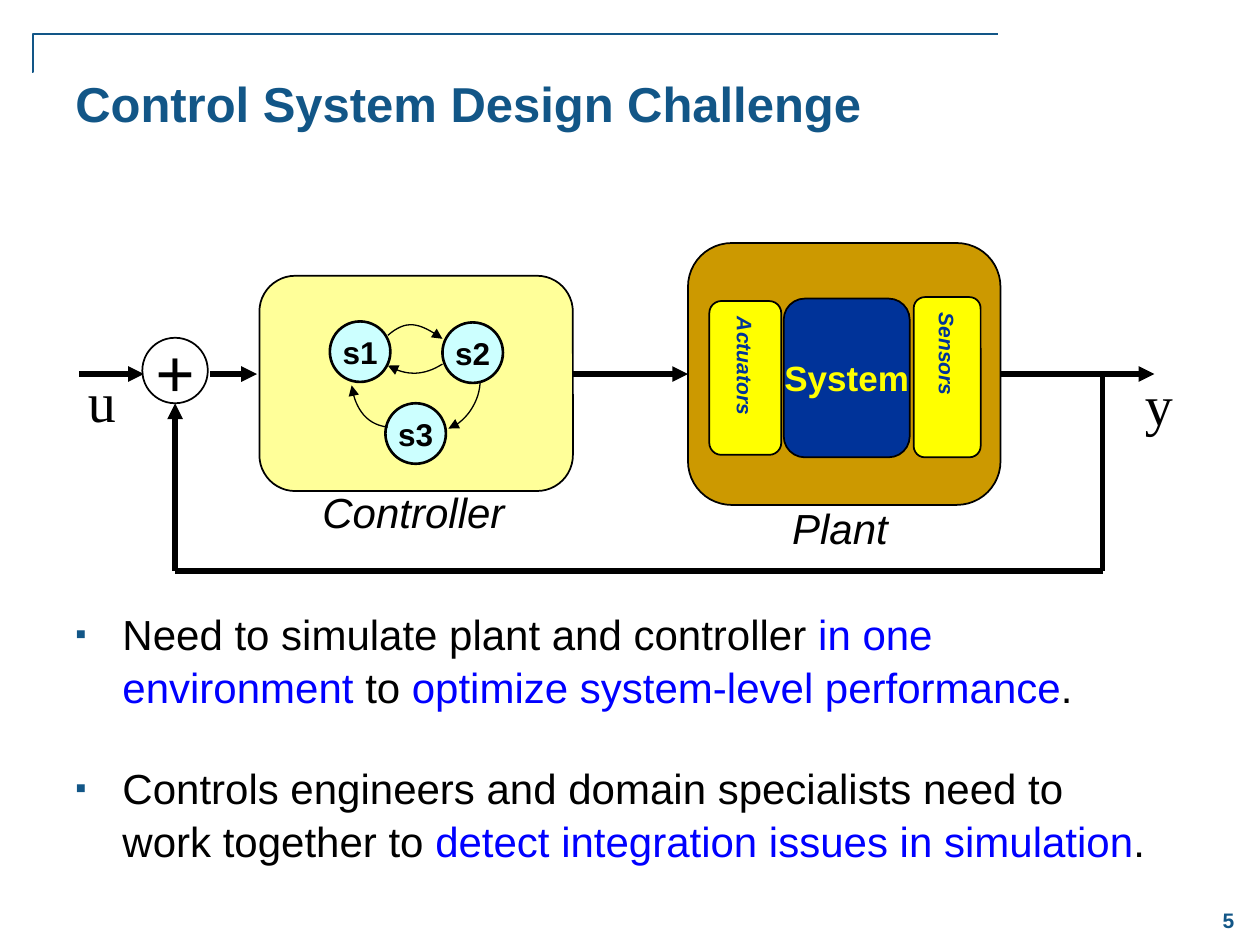
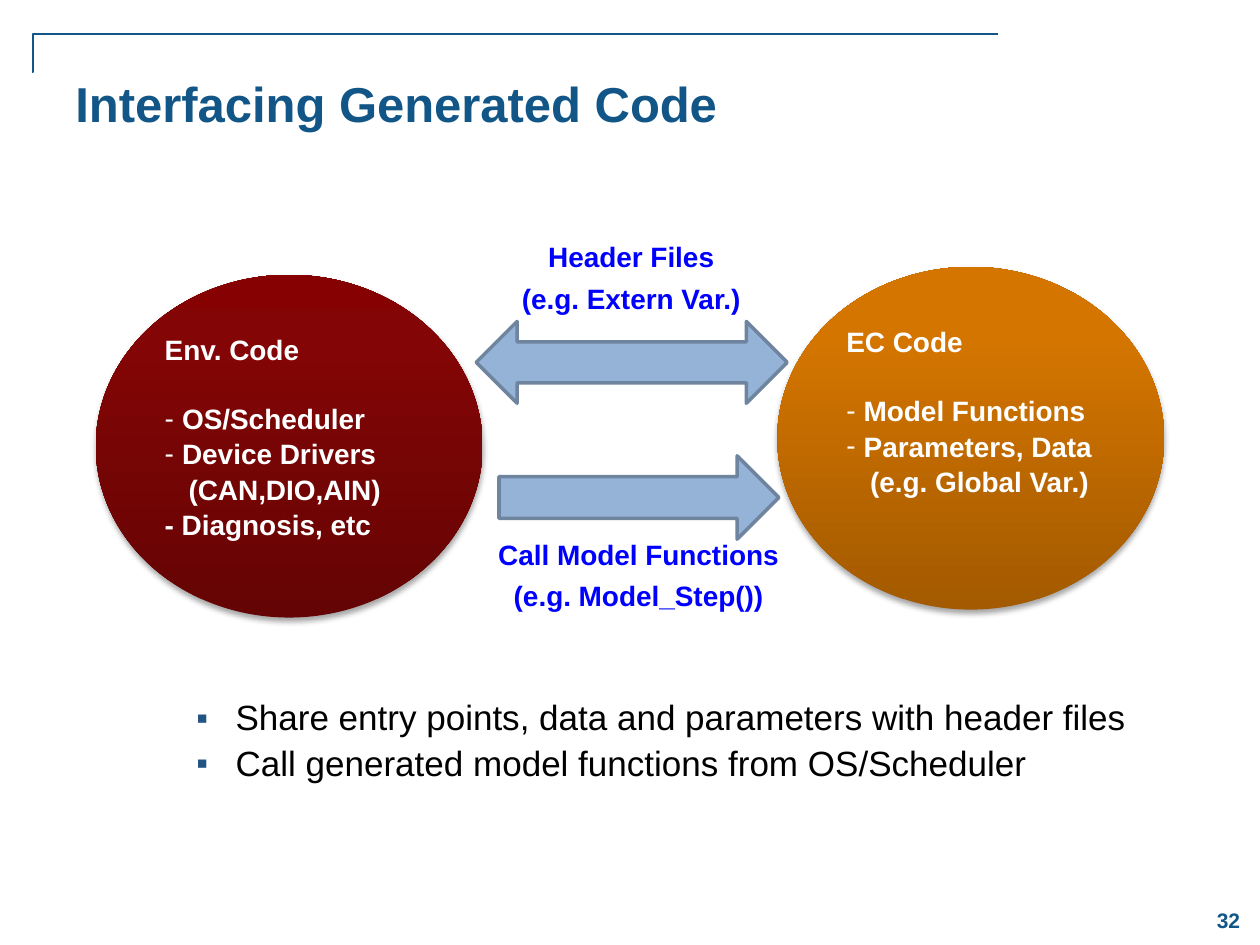
import copy

import pptx
import pptx.dml.color
import pptx.enum.dml
import pptx.enum.shapes
import pptx.enum.text
import pptx.oxml
import pptx.oxml.ns
import pptx.util
from lxml import etree

Cm = pptx.util.Cm
Pt = pptx.util.Pt
qn = pptx.oxml.ns.qn
PRESET = pptx.enum.shapes.MSO_SHAPE
CONNECTOR = pptx.enum.shapes.MSO_CONNECTOR
ALIGN = pptx.enum.text.PP_ALIGN
ANCHOR = pptx.enum.text.MSO_ANCHOR

COLORS = {
    "theme": "125687", "marker": "215383", "black": "000000", "white": "FFFFFF",
    "accent": "0000FF", "plant": "CC9900", "controller": "FFFF99",
    "state": "CCFFFF", "system": "003399", "device": "FFFF00",
    "arrow": "95B3D7", "arrow_edge": "6E849F",
}
ENV_GRADIENT = ["650404", "830505", "860202"]
EC_GRADIENT = ["A35A00", "D47500", "D57600"]
GRADIENT_POSITIONS = [0, 0.8, 1]


# Shared helpers: a box is (left, top, width, height) in centimetres
def inside(box, left, top, width=0, height=0):
    return box[0] + left, box[1] + top, width, height


def rgb(color):
    return pptx.dml.color.RGBColor.from_string(COLORS.get(color, color))


def add_xml(parent, tag, **attributes):
    return etree.SubElement(parent, qn(tag), attributes)


def style_runs(paragraph, size, color, font="Arial", bold=False, italic=False):
    for run in paragraph.runs:
        run.font.name, run.font.size = font, Pt(size)
        run.font.bold, run.font.italic = bold, italic
        run.font.color.rgb = rgb(color)


def write(frame, lines, size, color="black", align=ALIGN.LEFT, spacing=1.0,
          gap=0, wrap=True, **style):
    frame.word_wrap = wrap
    frame.text = "\n".join(lines)
    for number, paragraph in enumerate(frame.paragraphs):
        paragraph.alignment = align
        paragraph.line_spacing = spacing
        if number:
            paragraph.space_before = Pt(gap)
        style_runs(paragraph, size, color, **style)


def add_text(slide, box, lines, size, anchor=ANCHOR.TOP, **style):
    frame = slide.shapes.add_textbox(*map(Cm, box)).text_frame
    write(frame, lines, size, **style)
    frame.vertical_anchor = anchor
    return frame


def add_block(slide, preset, box, fill, edge="black", width=1):
    block = slide.shapes.add_shape(preset, *map(Cm, box))
    block.shadow.inherit = False
    block.fill.solid()
    block.fill.fore_color.rgb = rgb(fill)
    block.line.color.rgb = rgb(edge)
    block.line.width = Pt(width)
    return block


def label_block(block, text, size, color="black", vertical=False, **style):
    frame = block.text_frame
    write(frame, [text], size, color, ALIGN.CENTER, wrap=False, bold=True, **style)
    frame.vertical_anchor = ANCHOR.MIDDLE
    if vertical:
        frame._txBody.bodyPr.set("vert", "eaVert")


def set_line(line, color, width, arrow=False):
    line.color.rgb = rgb(color)
    line.width = Pt(width)
    if arrow:
        add_xml(line._get_or_add_ln(), "a:tailEnd", type="triangle")


def add_wire(slide, start, end, arrow=True, kind=CONNECTOR.STRAIGHT,
             color="black", width=3):
    wire = slide.shapes.add_connector(kind, *map(Cm, start[:2] + end[:2]))
    set_line(wire.line, color, width, arrow)
    add_xml(wire._element.spPr, "a:effectLst")
    return wire


def set_bullet(paragraph, mark, indent, color=None, percent=None):
    properties = paragraph._p.get_or_add_pPr()
    properties.set("marL", str(Cm(indent)))
    properties.set("indent", str(-Cm(indent)))
    if color:
        add_xml(add_xml(properties, "a:buClr"), "a:srgbClr", val=COLORS[color])
    if percent:
        add_xml(properties, "a:buSzPct", val=str(percent * 1000))
    add_xml(properties, "a:buFont", typeface="Arial")
    add_xml(properties, "a:buChar", char=mark)


# Title, corner rule and page number of every slide
def add_framed_slide(deck, title, number):
    slide = deck.slides.add_slide(deck.slide_layouts[6])
    corner = add_wire(slide, (20.12, 0.69), (0.64, 1.45), arrow=False,
                      kind=CONNECTOR.ELBOW, color="theme", width=1)
    bends = corner._element.spPr.find(".//" + qn("a:avLst"))
    add_xml(bends, "a:gd", name="adj1", fmla="val 99900")
    add_text(slide, (24.13, 18.01, 1.27, 1.07), [str(number)], 12,
             anchor=ANCHOR.MIDDLE, color="theme", align=ALIGN.CENTER, bold=True)
    add_text(slide, (1.27, 1.3, 22.43, 2.74), [title], 28, color="theme",
             spacing=1.05, bold=True)
    return slide


# State machine inside the controller
def add_states(slide, box):
    transitions = [
        [(2.59, 1.2), (2.95, 0.89), (3.2, 0.92), (3.69, 1.27)],
        [(4.45, 2.16), (4.42, 2.64), (4.07, 3.0), (3.81, 3.08)],
        [(2.59, 3.05), (2.09, 3.0), (1.91, 2.57), (1.86, 2.21)],
        [(3.69, 1.78), (3.33, 2.01), (2.97, 2.03), (2.59, 1.81)],
    ]
    for name, left, top in [("s1", 1.42, 0.92), ("s2", 3.69, 0.94), ("s3", 2.54, 2.57)]:
        state = add_block(slide, PRESET.OVAL, inside(box, left, top, 1.22, 1.22),
                          "state", width=1.5)
        label_block(state, name, 18)
    for controls in transitions:
        add_curve(slide, box, controls)


def add_curve(slide, box, controls, steps=16):
    points = []
    for step in range(steps + 1):
        t = step / steps
        weights = [(1 - t) ** 3, 3 * t * (1 - t) ** 2, 3 * t * t * (1 - t), t ** 3]
        x, y = (sum(w * c[axis] for w, c in zip(weights, controls)) for axis in (0, 1))
        points.append(tuple(map(Cm, inside(box, x, y)[:2])))
    builder = slide.shapes.build_freeform(*points[0])
    builder.add_line_segments(points[1:], close=False)
    curve = builder.convert_to_shape()
    curve.shadow.inherit = False
    curve.fill.background()
    set_line(curve.line, "black", 0.75, arrow=True)


# Actuators, system and sensors inside the plant
def add_plant_parts(slide, box):
    parts = [
        ("System", (1.93, 1.12, 2.54, 3.2), "system", "device", 20, False),
        ("Actuators", (0.43, 1.17, 1.45, 3.1), "device", "system", 12, True),
        ("Sensors", (4.55, 1.09, 1.35, 3.23), "device", "system", 12, True),
    ]
    for name, place, fill, color, size, vertical in parts:
        part = add_block(slide, PRESET.ROUNDED_RECTANGLE, inside(box, *place), fill)
        label_block(part, name, size, color, vertical, italic=vertical)


def add_control_loop(slide, box):
    signal_y, feedback_y = 2.64, 6.61
    adder_x, output_x = 2.03, 20.73
    plant_box = inside(box, 12.37, 0, 6.3, 5.28)
    controller_box = inside(box, 3.73, 0.66, 6.32, 4.34)
    plant = add_block(slide, PRESET.ROUNDED_RECTANGLE, plant_box, "plant")
    add_block(slide, PRESET.ROUNDED_RECTANGLE, controller_box, "controller")

    # Feedback path from the output to the adder
    corners = [(output_x, signal_y), (output_x, feedback_y),
               (adder_x, feedback_y), (adder_x, 3.23)]
    for start, end in zip(corners, corners[1:]):
        add_wire(slide, inside(box, *start), inside(box, *end), arrow=end == corners[-1])

    # Forward path
    adder = add_block(slide, PRESET.OVAL, inside(box, 1.37, 1.91, 1.32, 1.32), "white")
    label_block(adder, "+", 40, font="Times New Roman")
    spans = [(0.1, 1.4), (2.74, 3.68), (10.03, 12.37), (18.67, 21.77)]
    wires = [add_wire(slide, inside(box, left, signal_y), inside(box, right, signal_y))
             for left, right in spans]
    wires[2].end_connect(plant, 1)
    wires[3].begin_connect(plant, 3)

    # Signal and block names
    for name, left, top in [("u", 0.02, 2.36), ("y", 21.33, 2.42)]:
        add_text(slide, inside(box, left, top, 1.07, 1.6), [name], 32,
                 wrap=False, font="Times New Roman")
    for name, left, top, width in [("Plant", 14.22, 5.11, 2.44),
                                   ("Controller", 4.75, 4.78, 4.19)]:
        add_text(slide, inside(box, left, top, width, 1.27), [name], 24,
                 wrap=False, italic=True)
    add_states(slide, controller_box)
    add_plant_parts(slide, plant_box)


def add_challenges(slide, box):
    challenges = [
        [("Need to simulate plant and controller ", "black"),
         ("in one environment ", "accent"), ("to ", "black"),
         ("optimize system-level performance", "accent"), (".", "black")],
        [("Controls engineers and domain specialists need to work together to ", "black"),
         ("detect integration issues in simulation", "accent"), (".", "black")],
    ]
    frame = add_text(slide, box, [""] * len(challenges), 24, spacing=1.05, gap=27.5)
    for paragraph, pieces in zip(frame.paragraphs, challenges):
        set_bullet(paragraph, "▪", 0.95, "theme", 75)
        for text, color in pieces:
            paragraph.add_run().text = text
        style_runs(paragraph, 24, "black")
        for run, (text, color) in zip(paragraph.runs, pieces):
            run.font.color.rgb = rgb(color)


# Gradient ellipse listing one side of the generated code
def add_code_side(slide, box, gradient, lines):
    side = add_block(slide, PRESET.OVAL, box, gradient[0])
    side.line.fill.background()
    side.fill.gradient()
    side.fill.gradient_angle = 90
    stops = side._element.spPr.find(".//" + qn("a:gsLst"))
    stops.append(copy.deepcopy(stops[-1]))
    for stop, position, color in zip(side.fill.gradient_stops, GRADIENT_POSITIONS, gradient):
        stop.position = position
        stop.color.rgb = rgb(color)
    effects = side._element.spPr.find(qn("a:effectLst"))
    shadow = add_xml(effects, "a:outerShdw", blurRad="40000", dist="23000",
                     dir="5400000", rotWithShape="0")
    add_xml(add_xml(shadow, "a:srgbClr", val=COLORS["black"]), "a:alpha", val="35000")

    frame = side.text_frame
    write(frame, lines, 16, "white", spacing=1.05, bold=True)
    frame.vertical_anchor = ANCHOR.TOP
    frame.paragraphs[1].space_before = Pt(19.3)
    for paragraph in frame.paragraphs[1:3]:
        set_bullet(paragraph, "-", 0.35)
    frame.paragraphs[3]._p.get_or_add_pPr().set("marL", str(Cm(0.48)))


def add_code_exchange(slide, box):
    add_code_side(slide, inside(box, 0, 0.87, 7.8, 6.91), ENV_GRADIENT,
                  ["Env. Code", "OS/Scheduler", "Device Drivers",
                   "(CAN,DIO,AIN)", "- Diagnosis, etc"])
    add_code_side(slide, inside(box, 13.74, 0.71, 7.8, 6.91), EC_GRADIENT,
                  ["EC Code", "Model Functions", "Parameters, Data",
                   "(e.g. Global Var.)"])
    links = [
        (PRESET.LEFT_RIGHT_ARROW, (7.67, 1.81, 6.27, 1.65),
         (5.59, 0), ["Header Files", "(e.g. Extern Var.)"]),
        (PRESET.RIGHT_ARROW, (8.13, 4.52, 5.64, 1.68),
         (5.74, 6), ["Call Model Functions", "(e.g. Model_Step())"]),
    ]
    for preset, arrow_place, label_place, lines in links:
        add_block(slide, preset, inside(box, *arrow_place), "arrow", "arrow_edge", 2)
        add_text(slide, inside(box, *label_place, 10.41, 0.91), lines, 16, color="accent",
                 align=ALIGN.CENTER, spacing=1.05, gap=3.7, bold=True)


def add_interface_notes(slide, box):
    frame = add_text(slide, box,
                     ["Share entry points, data and parameters with header files",
                      "Call generated model functions from OS/Scheduler"],
                     20, spacing=0.9, gap=4.6)
    for paragraph in frame.paragraphs:
        set_bullet(paragraph, "▪", 0.79, "marker", 95)


def main():
    deck = pptx.Presentation()
    deck.slide_width, deck.slide_height = Cm(25.4), Cm(19.05)

    challenge = add_framed_slide(deck, "Control System Design Challenge", 5)
    add_control_loop(challenge, (1.5, 4.9, 22.5, 9.8))
    add_challenges(challenge, (1.27, 12.1, 22.43, 5.25))

    interface = add_framed_slide(deck, "Interfacing Generated Code", 32)
    add_code_exchange(interface, (1.93, 4.67, 21.54, 7.78))
    add_interface_notes(interface, (3.71, 14, 19.94, 2.5))

    deck.save("out.pptx")


if __name__ == "__main__":
    main()
